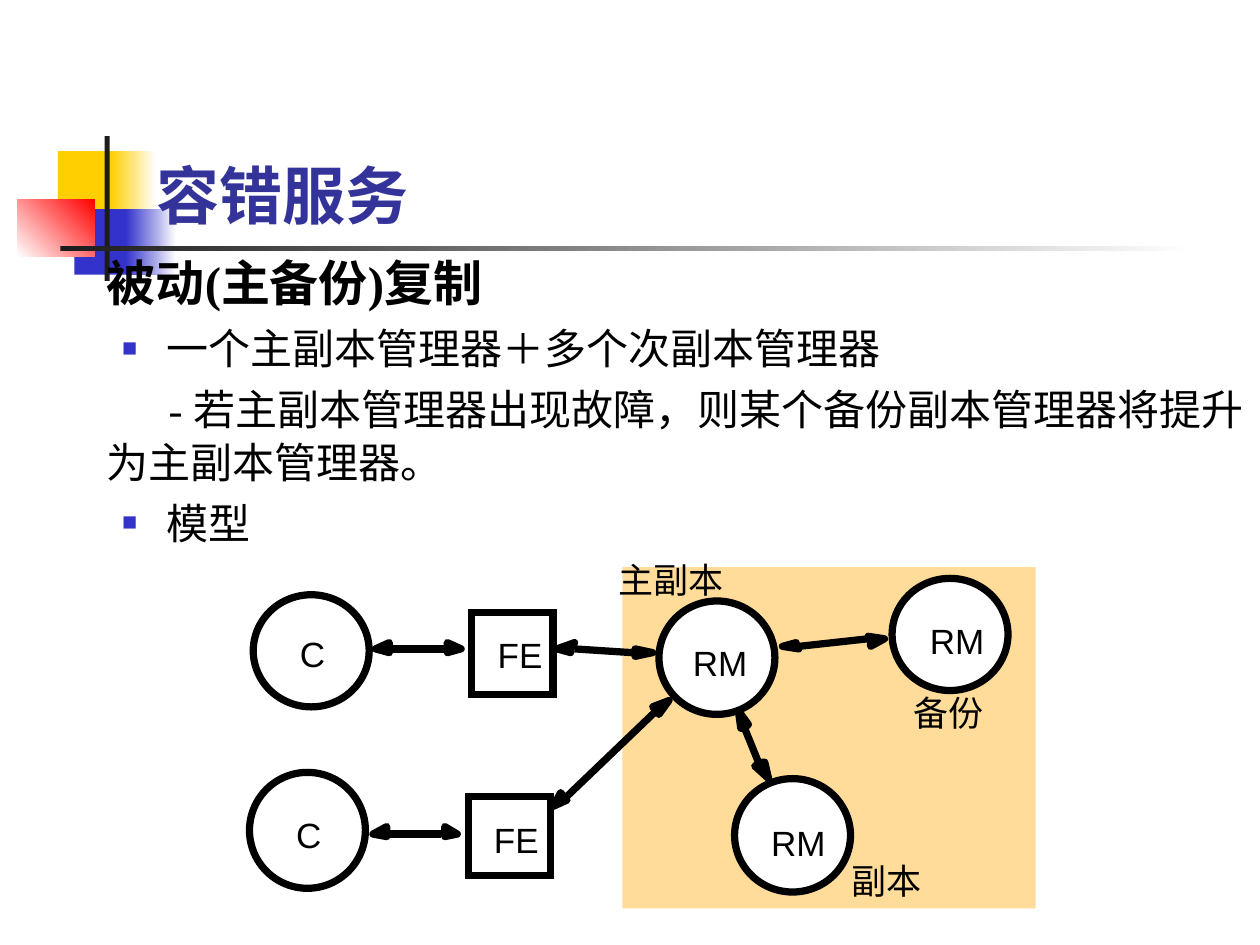
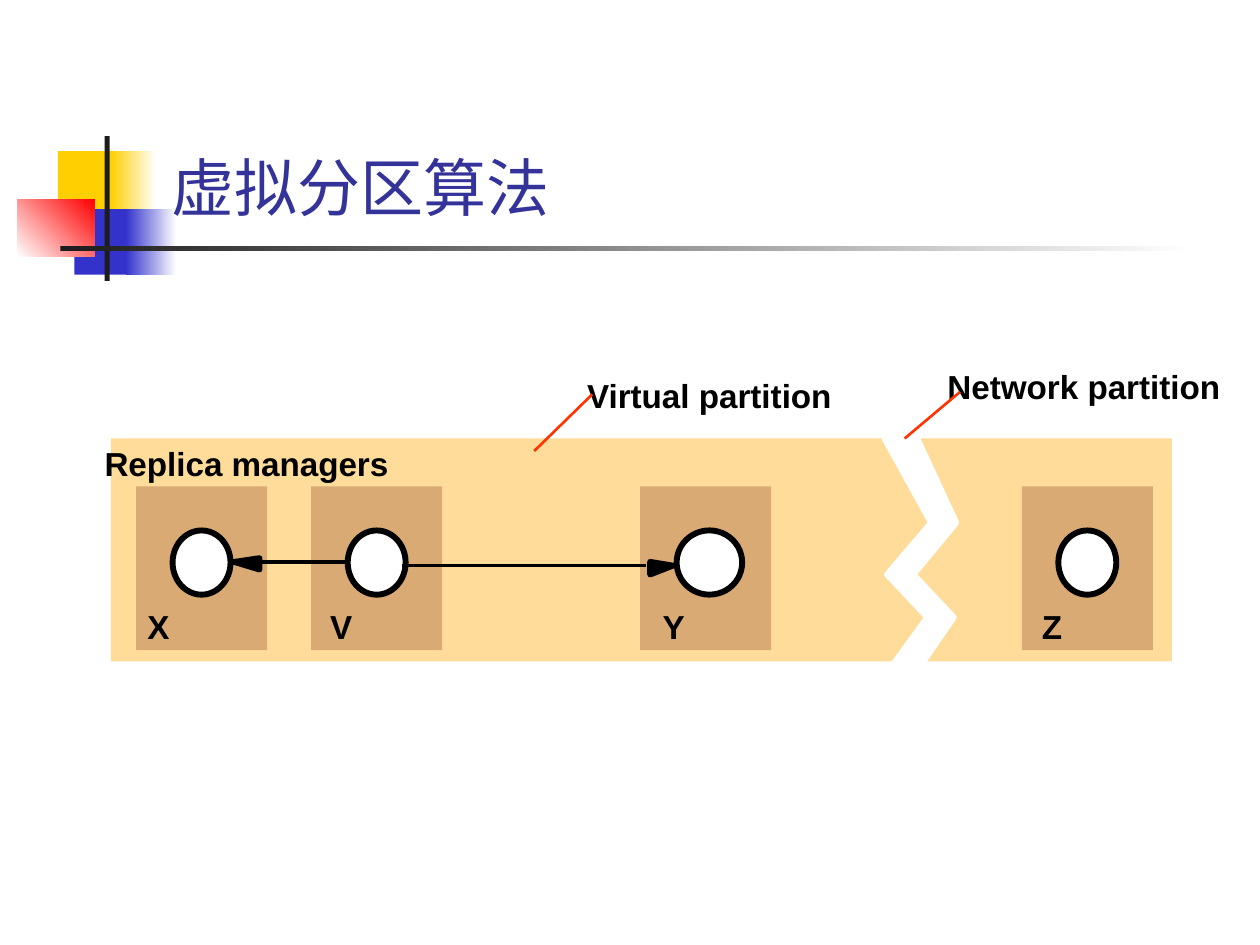
from lxml import etree
from pptx import Presentation
from pptx.dml.color import RGBColor
from pptx.enum.shapes import MSO_CONNECTOR, MSO_SHAPE
from pptx.enum.text import MSO_ANCHOR
from pptx.oxml.ns import qn
from pptx.util import Inches, Pt

RECT, OVAL = MSO_SHAPE.RECTANGLE, MSO_SHAPE.OVAL
STRAIGHT = MSO_CONNECTOR.STRAIGHT
TOP, BOTTOM = MSO_ANCHOR.TOP, MSO_ANCHOR.BOTTOM

BLACK, WHITE, INK = "000000", "FFFFFF", "1C1C1C"
YELLOW, BLUE, RED = "FFCF01", "3333CC", "FF0000"
TITLE_BLUE, POINTER_RED = "333399", "FF3300"
SAND, TAN = "FFDC99", "D9AA73"
THICK, MEDIUM = 4.14, 3.37


def paint(shape, fill=None, line=None, width=1, angle=0):
    """Fill with a hex colour, a (start, end) gradient or nothing."""
    shape.shadow.inherit = False
    if fill is None:
        shape.fill.background()
    elif isinstance(fill, tuple):
        shape.fill.gradient()
        shape.fill.gradient_angle = angle
        for stop, position, color in zip(shape.fill.gradient_stops, (0, 1), fill):
            stop.position = position
            stop.color.rgb = RGBColor.from_string(color)
    else:
        shape.fill.solid()
        shape.fill.fore_color.rgb = RGBColor.from_string(fill)
    if line:
        shape.line.color.rgb = RGBColor.from_string(line)
        shape.line.width = Pt(width)
    else:
        shape.line.fill.background()


def add_text(slide, box, paragraphs, inset=True, anchor=TOP, wrap=True, **shared):
    """Write one string, or several (text, format) pairs, in a text box."""
    frame = slide.shapes.add_textbox(*map(Inches, box)).text_frame
    frame.word_wrap = wrap
    frame.vertical_anchor = anchor
    if not inset:
        frame.margin_left = frame.margin_right = 0
        frame.margin_top = frame.margin_bottom = 0
    if isinstance(paragraphs, str):
        paragraphs = [(paragraphs, {})]
    for number, (text, own) in enumerate(paragraphs):
        style = {"font": "Arial", "east": "Arial", "size": 20, "color": BLACK,
                 "bold": False, "before": 0, "spacing": 1, "margin": 0,
                 "indent": 0, "bullet": None, **shared, **own}
        paragraph = frame.add_paragraph() if number else frame.paragraphs[0]
        paragraph.space_before = Pt(style["before"])
        paragraph.line_spacing = style["spacing"]
        run = paragraph.add_run()
        run.text = text
        run.font.size = Pt(style["size"])
        run.font.bold = style["bold"]
        run.font.color.rgb = RGBColor.from_string(style["color"])
        run.font.name = style["font"]
        etree.SubElement(run._r.get_or_add_rPr(), qn("a:ea"), typeface=style["east"])
        properties = paragraph._p.get_or_add_pPr()
        properties.set("marL", str(Inches(style["margin"])))
        properties.set("indent", str(Inches(style["indent"])))
        if style["bullet"]:
            color = etree.SubElement(properties, qn("a:buClr"))
            etree.SubElement(color, qn("a:srgbClr"), val=style["bullet"])
            etree.SubElement(properties, qn("a:buSzPct"), val="60000")
            etree.SubElement(properties, qn("a:buFont"), typeface="Arial")
            etree.SubElement(properties, qn("a:buChar"), char="■")


prs = Presentation()
prs.slide_width, prs.slide_height = Inches(10), Inches(7.5)
blank = prs.slide_layouts[6]
replication = prs.slides.add_slide(blank)
partition = prs.slides.add_slide(blank)

# Shared decoration and titles
decoration = [
    ((0.46, 1.2, 0.48, 0.52), YELLOW, 0),
    ((0.88, 1.2, 0.36, 0.52), (YELLOW, WHITE), 0),
    ((0.59, 1.66, 0.46, 0.52), BLUE, 0),
    ((1, 1.66, 0.4, 0.52), (BLUE, WHITE), 0),
    ((0.14, 1.58, 0.61, 0.46), (WHITE, RED), 45),
    ((0.83, 1.08, 0.04, 1.15), INK, 0),
    ((0.48, 1.95, 9, 0.04), (INK, WHITE), 0),
]
titles = [
    (replication, "容错服务", (1.14, 0.91, 7.4, 0.98), "Noto Sans CJK JP", True),
    (partition, "虚拟分区算法", (1.26, 0.23, 8.52, 1.6), "Cabin", False),
]
for slide, title, box, font, bold in titles:
    for place, fill, angle in decoration:
        paint(slide.shapes.add_shape(RECT, *map(Inches, place)), fill, angle=angle)
    add_text(slide, box, title, anchor=BOTTOM, font=font, east=font, size=36,
             color=TITLE_BLUE, bold=bold)

# Passive replication: body text
point = {"margin": 0.47, "indent": -0.35, "bullet": BLUE}
add_text(replication, (0.75, 1.94, 9.25, 5.2), [
    ("被动(主备份)复制", {"size": 28, "bold": True, "before": 0}),
    ("一个主副本管理器＋多个次副本管理器", point),
    ("- 若主副本管理器出现故障，则某个备份副本管理器将提升为主副本管理器。",
     {"indent": 0.49}),
    ("模型", point),
], font="Times New Roman", size=24, before=5, spacing=1.04)

# Passive replication: clients, front ends and replica managers
replica_area = replication.shapes.add_shape(
    RECT, *map(Inches, (4.94, 4.5, 3.28, 2.71)))
paint(replica_area, SAND)
nodes = [
    ("C", OVAL, (2.01, 4.72, 0.92, 0.89), None, (2.38, 5.02)),
    ("C", OVAL, (1.98, 6.13, 0.92, 0.92), None, (2.35, 6.46)),
    ("FE", RECT, (3.74, 4.86, 0.65, 0.65), None, (3.95, 5.03)),
    ("FE", RECT, (3.72, 6.32, 0.65, 0.63), None, (3.92, 6.5)),
    ("RM", OVAL, (5.23, 4.77, 0.92, 0.9), WHITE, (5.5, 5.09)),
    ("RM", OVAL, (7.08, 4.59, 0.92, 0.89), WHITE, (7.38, 4.92)),
    ("RM", OVAL, (5.83, 6.18, 0.92, 0.9), WHITE, (6.12, 6.52)),
]
label_widths = {"C": 0.22, "FE": 0.38, "RM": 0.46}
for label, outline, place, fill, corner in nodes:
    node = replication.shapes.add_shape(outline, *map(Inches, place))
    paint(node, fill, BLACK, THICK)
    etree.SubElement(node._element.spPr.find(qn("a:ln")), qn("a:miter"), lim="800000")
    add_text(replication, (*corner, label_widths[label], 0.33), label,
             inset=False, wrap=False, before=2.4)
for role, left, top, width in [("主副本", 4.91, 4.43, 0.84),
                               ("备份", 7.25, 5.49, 0.56),
                               ("副本", 6.76, 6.82, 0.56)]:
    add_text(replication, (left, top, width, 0.33), role,
             inset=False, wrap=False, before=2.4)

# Virtual partition: replica managers in the network
network = partition.shapes.add_shape(RECT, *map(Inches, (0.88, 3.48, 8.42, 1.77)))
paint(network, SAND)
managers = [("X", 1.08, 0.46, 1.17), ("V", 2.47, 0.46, 2.62),
            ("Y", 5.08, 0.52, 5.26), ("Z", 8.11, 0.46, 8.27)]
partition_labels = [
    ("Replica managers", 0.83, 3.52, 2.3),
    ("Virtual partition", 4.66, 2.98, 2),
    ("Network partition", 7.52, 2.91, 2.2),
]
for name, left, diameter, label_left in managers:
    host = partition.shapes.add_shape(RECT, *map(Inches, (left, 3.86, 1.04, 1.3)))
    paint(host, TAN)
    replica = partition.shapes.add_shape(
        OVAL, *map(Inches, (left + 0.29, 4.21, diameter, 0.51)))
    paint(replica, WHITE, BLACK, MEDIUM)
    partition_labels.append((name, label_left, 4.81, 0.2))
for label, left, top, width in partition_labels:
    add_text(partition, (left, top, width, 0.32), label, inset=False, wrap=False,
             size=19, bold=True, before=2.2)

# Arrowheads and the network break, as closed outlines
replication_heads = [
    [(4.53, 5.15), (4.53, 5.18), (4.42, 5.15), (4.56, 5.1)],
    [(5.04, 5.18), (5.04, 5.15), (5.18, 5.18), (5.04, 5.21)],
    [(3.53, 6.62), (3.53, 6.56), (3.63, 6.62), (3.53, 6.64)],
    [(3.07, 6.62), (3.07, 6.64), (2.96, 6.62), (3.07, 6.56)],
    [(3.55, 5.15), (3.55, 5.1), (3.66, 5.15), (3.55, 5.18)],
    [(3.09, 5.15), (3.09, 5.18), (2.98, 5.15), (3.09, 5.1)],
    [(4.47, 6.32), (4.5, 6.35), (4.39, 6.4), (4.45, 6.29)],
    [(5.21, 5.64), (5.18, 5.61), (5.31, 5.56), (5.23, 5.67)],
    [(5.91, 5.78), (5.88, 5.78), (5.86, 5.64), (5.94, 5.75)],
    [(6.05, 6.05), (6.07, 6.05), (6.1, 6.18), (5.99, 6.08)],
    [(6.91, 5.07), (6.89, 5.05), (7.02, 5.07), (6.91, 5.13)],
    [(6.32, 5.13), (6.34, 5.15), (6.21, 5.13), (6.32, 5.1)],
]
partition_heads = [
    [(2.06, 4.46), (2.06, 4.52), (1.86, 4.46), (2.06, 4.43)],
    [(5.16, 4.49), (5.16, 4.46), (5.34, 4.49), (5.16, 4.56)],
]
network_break = [(7.02, 3.48), (7.39, 4.15), (7.04, 4.56), (7.36, 4.9), (6.99, 5.41),
                 (7.22, 5.41), (7.57, 4.9), (7.25, 4.56), (7.59, 4.15), (7.28, 3.48)]
for slide, outlines, color, width in [
        (replication, replication_heads, BLACK, THICK),
        (partition, partition_heads, BLACK, MEDIUM),
        (partition, [network_break], WHITE, MEDIUM)]:
    for outline in outlines:
        start, *corners = [(Inches(x), Inches(y)) for x, y in outline]
        builder = slide.shapes.build_freeform(*start)
        builder.add_line_segments(corners, close=True)
        paint(builder.convert_to_shape(), color, color, width)

# Message lines and pointers to the partitions
replication_links = [
    (4.56, 5.15, 5.02, 5.18), (3.5, 6.62, 3.09, 6.62), (3.53, 5.15, 3.12, 5.15),
    (4.5, 6.32, 5.21, 5.64), (5.91, 5.78, 6.02, 6.05), (6.89, 5.07, 6.34, 5.13),
]
partition_links = [(2.76, 4.46, 2.06, 4.46), (3.19, 4.49, 5.13, 4.49)]
pointers = [(4.7, 3.13, 4.24, 3.58), (7.18, 3.48, 7.62, 3.11)]
for slide, links, color, width in [
        (replication, replication_links, BLACK, THICK),
        (partition, partition_links, BLACK, 2),
        (partition, pointers, POINTER_RED, 1.5)]:
    for ends in links:
        link = slide.shapes.add_connector(STRAIGHT, *map(Inches, ends))
        link.line.color.rgb = RGBColor.from_string(color)
        link.line.width = Pt(width)
        etree.SubElement(link._element.spPr, qn("a:effectLst"))

prs.save("out.pptx")
